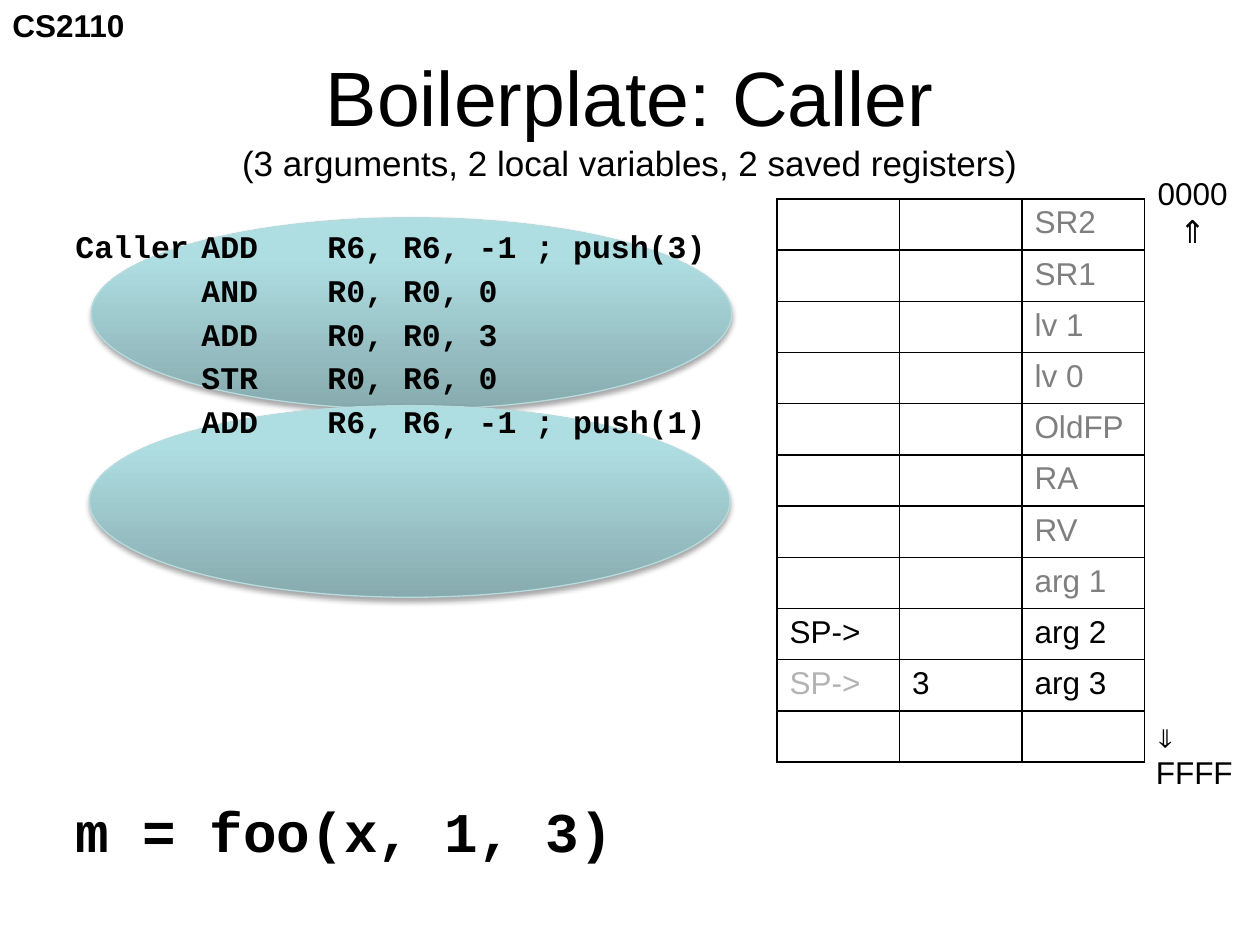
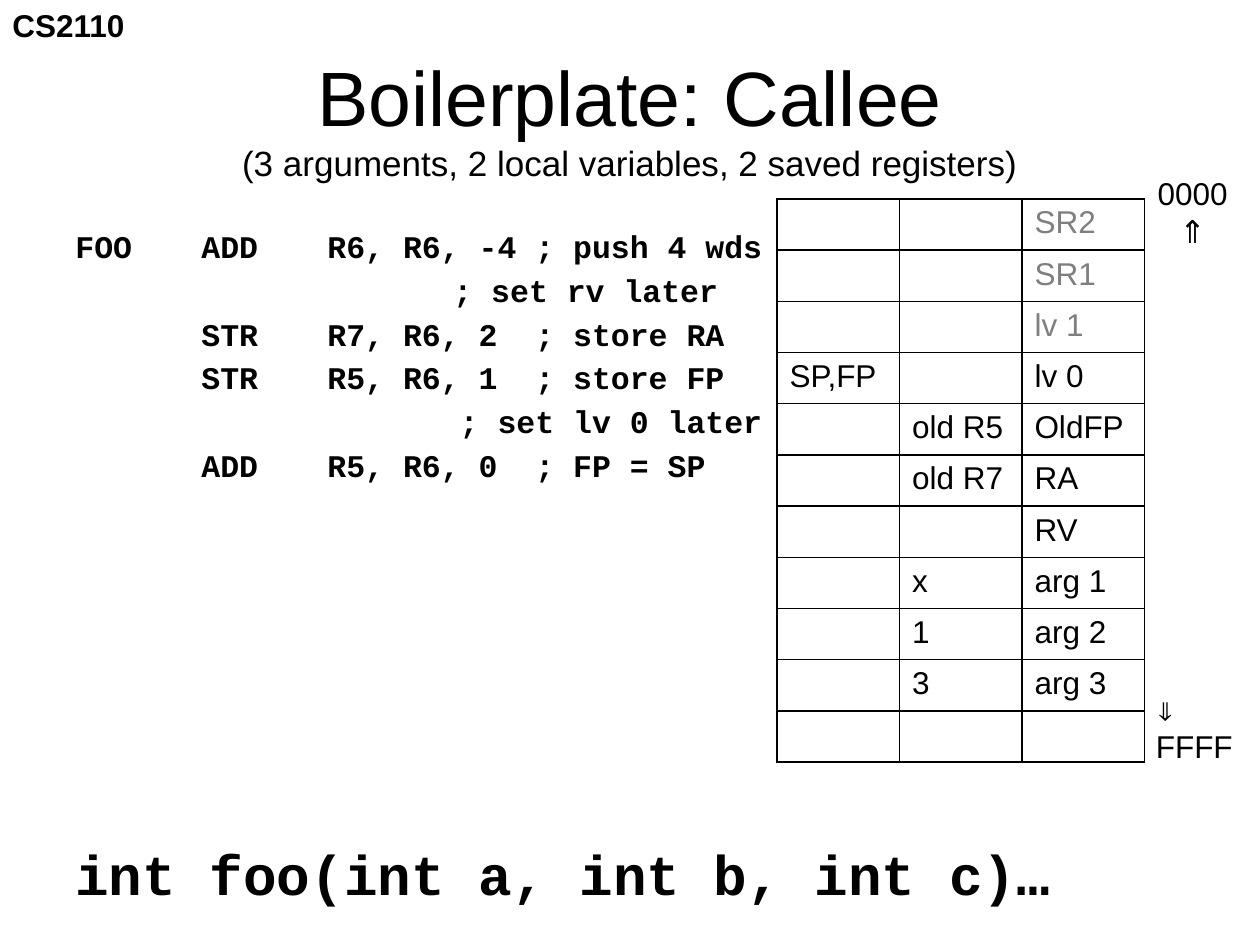
from dataclasses import dataclass
from pptx import Presentation
from pptx.dml.color import RGBColor as RGB
from pptx.enum.shapes import MSO_SHAPE as Shape
from pptx.enum.text import MSO_ANCHOR as Anchor, PP_ALIGN as Align
from pptx.oxml import parse_xml as to_xml
from pptx.oxml.ns import nsdecls
from pptx.util import Pt


@dataclass(frozen=True)
class Theme:
    ink: str = "000000"
    unset: str = "7F7F7F"
    stale: str = "B3B3B3"
    rim: str = "B6DCDF"
    glow: tuple = ((0, "87ABAE"), (80, "AFDEE2"), (100, "AFE0E4"))
    sans: str = "Arial"
    mono: str = "Courier New"
    up: str = "Noto Sans CJK JP"
    down: str = "Noto Sans Mono"
    title: int = 44
    call: int = 32
    sub: int = 20
    body: int = 18


T = Theme()

# Stack slots from low to high address
SLOTS = ("SR2", "SR1", "lv 1", "lv 0", "OldFP", "RA", "RV",
         "arg 1", "arg 2", "arg 3", "")
COL, ROW = 70, 29.26
TAB = 72


# Text
def style(run, font=T.sans, size=T.body, color=T.ink, bold=False):
    run.font.name, run.font.size, run.font.bold = font, Pt(size), bold
    run.font.color.rgb = RGB.from_string(color)
    for tag in ("ea", "sym"):
        run.font._element.append(
            to_xml(f'<a:{tag} {nsdecls("a")} typeface="{font}"/>'))


def write(para, text, align=Align.LEFT, gap=0, **form):
    para.alignment = align
    para.space_before = Pt(gap)
    if "\t" in text:
        stops = "".join(f'<a:tab pos="{Pt(TAB * n)}" algn="l"/>'
                        for n in (1, 2, 3))
        para._p.get_or_add_pPr().append(
            to_xml(f'<a:tabLst {nsdecls("a")}>{stops}</a:tabLst>'))
    run = para.add_run()
    run.text = text
    style(run, **form)


def box(slide, x, y, w, h, wrap=True, anchor=Anchor.TOP):
    frame = slide.shapes.add_textbox(Pt(x), Pt(y), Pt(w), Pt(h)).text_frame
    frame.word_wrap, frame.vertical_anchor = wrap, anchor
    return frame


def stack(frame, *lines, gap=0, **form):
    """Write one paragraph per line; a line is text or (text, format)."""
    for i, line in enumerate(lines):
        text, own = (line, {}) if isinstance(line, str) else line
        para = frame.add_paragraph() if i else frame.paragraphs[0]
        write(para, text, gap=gap if i else 0, **{**form, **own})


# Parts that both slides share
def head(slide, title):
    write(box(slide, 0, 0, 79.2, 28.8, wrap=False).paragraphs[0],
          "CS2110", bold=True)
    frame = box(slide, 36, 21.6, 648, 90, anchor=Anchor.MIDDLE)
    para = frame.paragraphs[0]
    write(para, title, align=Align.CENTER, size=T.title)
    para.add_line_break()
    write(para, "(3 arguments, 2 local variables, 2 saved registers)",
          align=Align.CENTER, size=T.sub)


def ends(slide, low):
    stack(box(slide, 654.2, 95.8, 54.7, 51.1, wrap=False),
          "0000", ("⇑", {"font": T.up}), align=Align.CENTER)
    stack(box(slide, 653.4, low, 59, 51.1, wrap=False),
          ("⇓", {"font": T.down}), "FFFF")


def code(slide, lines, call, top):
    stack(box(slide, 36, 126, 420, 170), *lines,
          gap=3.5, font=T.mono, bold=True)
    stack(box(slide, 36, top, 648, 44), call,
          font=T.mono, size=T.call, bold=True)


# Stack table
def frame_cell(cell):
    props = cell._tc.get_or_add_tcPr()
    for side in "LRTB":
        props.append(to_xml(
            f'<a:ln{side} {nsdecls("a")} w="12700"><a:solidFill>'
            f'<a:srgbClr val="{T.ink}"/></a:solidFill></a:ln{side}>'))
    cell.fill.background()


def memory(slide, live, marks, values):
    """Slots from index live on are in use; marks are (text, color)."""
    grid = slide.shapes.add_table(
        len(SLOTS), 3, Pt(444), Pt(113.7),
        Pt(3 * COL), Pt(len(SLOTS) * ROW)).table
    grid.first_row = grid.horz_banding = False
    for col in grid.columns:
        col.width = Pt(COL)
    for i, slot in enumerate(SLOTS):
        grid.rows[i].height = Pt(ROW)
        shade = T.ink if i >= live else T.unset
        row = (marks.get(i, ("", T.ink)), (values.get(i, ""), T.ink),
               (slot, shade))
        for j, (text, color) in enumerate(row):
            cell = grid.cell(i, j)
            frame_cell(cell)
            if text:
                write(cell.text_frame.paragraphs[0], text, color=color)


# Highlight behind a group of instructions
def oval(slide, x, y):
    item = slide.shapes.add_shape(
        Shape.OVAL, Pt(x), Pt(y), Pt(366), Pt(109.5))
    stops = "".join(
        f'<a:gs pos="{pos * 1000}"><a:srgbClr val="{color}"/></a:gs>'
        for pos, color in T.glow)
    props = item._element.spPr
    props.insert(2, to_xml(
        f'<a:gradFill {nsdecls("a")} rotWithShape="1"><a:gsLst>{stops}'
        '</a:gsLst><a:lin ang="16200000" scaled="0"/></a:gradFill>'))
    item.line.color.rgb = RGB.from_string(T.rim)
    item.line.width = Pt(0.75)
    item.shadow.inherit = False
    props.find("{*}effectLst").append(to_xml(
        f'<a:outerShdw {nsdecls("a")} blurRad="{Pt(3.1)}" '
        f'dist="{Pt(1.8)}" dir="5400000" rotWithShape="0">'
        f'<a:srgbClr val="{T.ink}"><a:alpha val="35000"/></a:srgbClr>'
        '</a:outerShdw>'))


# Slides
def caller(slide):
    oval(slide, 52.1, 124.4)
    oval(slide, 51.1, 231.8)
    head(slide, "Boilerplate: Caller")
    code(slide, ("Caller\tADD\tR6, R6, -1 ; push(3)",
                 "\tAND\tR0, R0, 0",
                 "\tADD\tR0, R0, 3",
                 "\tSTR\tR0, R6, 0",
                 "\tADD\tR6, R6, -1 ; push(1)"),
         "m = foo(x, 1, 3)", 451.5)
    ends(slide, 405.4)
    memory(slide, 8, {8: ("SP->", T.ink), 9: ("SP->", T.stale)}, {9: "3"})


def callee(slide):
    head(slide, "Boilerplate: Callee")
    code(slide, ("FOO\tADD\tR6, R6, -4 ; push 4 wds",
                 "\t\t\t; set rv later",
                 "\tSTR\tR7, R6, 2  ; store RA",
                 "\tSTR\tR5, R6, 1  ; store FP",
                 "\t\t       ; set lv 0 later",
                 "\tADD\tR5, R6, 0  ; FP = SP"),
         "int foo(int a, int b, int c)…", 476.4)
    ends(slide, 390.2)
    memory(slide, 3, {3: ("SP,FP", T.ink)},
           {4: "old R5", 5: "old R7", 7: "x", 8: "1", 9: "3"})


def main():
    deck = Presentation()
    deck.slide_width, deck.slide_height = Pt(720), Pt(540)
    for draw in (caller, callee):
        draw(deck.slides.add_slide(deck.slide_layouts[6]))
    deck.save("out.pptx")


if __name__ == "__main__":
    main()
